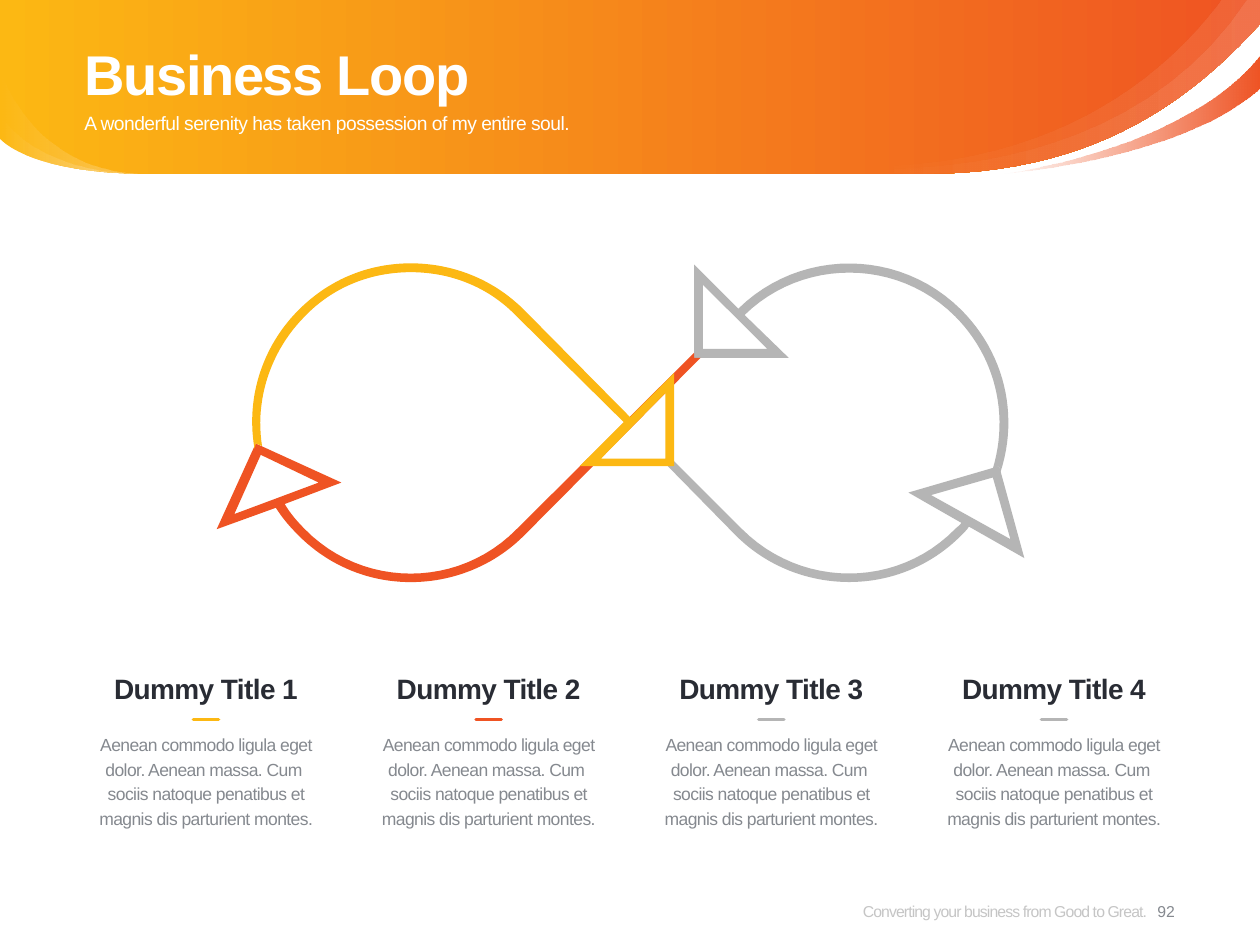
import lxml.etree
import pptx
import pptx.dml.color
import pptx.enum.shapes
import pptx.enum.text
import pptx.oxml.ns
import pptx.util

Inches, Pt = pptx.util.Inches, pptx.util.Pt
ALIGN = pptx.enum.text.PP_ALIGN
ANCHOR = pptx.enum.text.MSO_ANCHOR
qn = pptx.oxml.ns.qn

GOLD, RED, GREY, WHITE = "FCB813", "EF5323", "B5B5B5", "FFFFFF"
DARK, SLATE, PALE = "292C34", "85898F", "8C8C8C"

TITLE = "Business Loop"
LEAD = "A wonderful serenity has taken possession of my entire soul."
FOOTER = "Converting your business from Good to Great."
PAGE = "92"
BODY = [
    "Aenean commodo ligula eget dolor. Aenean massa. Cum ",
    "sociis natoque penatibus et magnis dis parturient montes.",
]
ITEMS = [
    ("Dummy Title 1", GOLD),
    ("Dummy Title 2", RED),
    ("Dummy Title 3", GREY),
    ("Dummy Title 4", GREY),
]

# A pair is a corner; six numbers are a cubic curve.
RIM = [(10, 0), (10, 0.19), (9.37, 0.89, 8.58, 1.38, 7.34, 1.38)]
TAIL = RIM + [(7.25, 1.38), (6.83, 1.38, 6.53, 1.31, 6.51, 1.31)]
EDGE = (0.21, 1.37, 0, 1.1, 0, 1.1)
BANNER = [
    (RIM + [(1.14, 1.38), EDGE, (0, 0)],
     [(0, GOLD, 100), (100, RED, 100)]),
    ([(7.94, 1.38), (7.94, 1.38, 9.4, 1.2, 10, 0.43), (10, 0.69),
      (10, 0.69, 9.54, 1.22, 7.94, 1.38)],
     [(0, RED, 0), (100, RED, 100)]),
    (TAIL + [(8.32, 1.43, 9.26, 0.58, 9.69, 0)],
     [(15, WHITE, 0), (100, WHITE, 10)]),
    ([(1.14, 1.38), EDGE, (0, 0.89), (0, 0.89, 0.21, 1.36, 1.14, 1.38)],
     [(0, WHITE, 0), (100, WHITE, 30)]),
    ([(1.14, 1.38), EDGE, (0, 0.53), (0, 0.53, 0.21, 1.35, 1.14, 1.38)],
     [(0, WHITE, 0), (100, WHITE, 30)]),
    (TAIL + [(6.58, 1.32, 8.82, 1.62, 9.89, 0)],
     [(15, WHITE, 0), (100, WHITE, 10)]),
]
LOOP = [
    (GREY, [
        [(7.93, 3.7), (7.21, 3.91), (7.63, 4.15),
         (7.62, 4.17, 7.6, 4.18, 7.58, 4.2),
         (7.12, 4.67, 6.36, 4.67, 5.89, 4.2),
         (5.35, 3.66), (5.35, 3.7), (5.3, 3.7), (5.84, 4.25),
         (6.09, 4.5, 6.42, 4.62, 6.74, 4.62),
         (7.06, 4.62, 7.38, 4.5, 7.63, 4.25),
         (7.65, 4.23, 7.68, 4.2, 7.69, 4.18), (8.13, 4.43)],
        [(7.39, 3.93), (7.88, 3.79), (8.02, 4.28)],
    ]),
    (GREY, [
        [(7.63, 2.46), (7.14, 1.97, 6.35, 1.97, 5.86, 2.45),
         (5.51, 2.1), (5.51, 2.84), (6.26, 2.84), (5.91, 2.5),
         (6.37, 2.05, 7.12, 2.05, 7.58, 2.51),
         (7.9, 2.83, 8.01, 3.29, 7.88, 3.72), (7.93, 3.7), (7.94, 3.75),
         (8.09, 3.29, 7.97, 2.8, 7.63, 2.46)],
        [(6.09, 2.77), (5.58, 2.77), (5.58, 2.26)],
    ]),
    (RED, [
        [(5.51, 2.84), (5.51, 2.8), (4.1, 4.2),
         (3.64, 4.67, 2.88, 4.67, 2.42, 4.2),
         (2.36, 4.14, 2.3, 4.07, 2.26, 4),
         (2.71, 3.83), (2.03, 3.52), (1.72, 4.2), (2.19, 4.03),
         (2.24, 4.11, 2.3, 4.18, 2.37, 4.25),
         (2.62, 4.5, 2.94, 4.62, 3.26, 4.62),
         (3.58, 4.62, 3.91, 4.5, 4.16, 4.25), (5.56, 2.84)],
        [(1.86, 4.08), (2.07, 3.61), (2.53, 3.83)],
    ]),
    (GOLD, [
        [(5, 3.31), (4.16, 2.46),
         (3.92, 2.22, 3.6, 2.09, 3.26, 2.09),
         (2.92, 2.09, 2.61, 2.22, 2.37, 2.46),
         (2.08, 2.75, 1.95, 3.16, 2.02, 3.56), (2.03, 3.52), (2.08, 3.54),
         (2.02, 3.17, 2.15, 2.78, 2.42, 2.51),
         (2.64, 2.28, 2.94, 2.16, 3.26, 2.16),
         (3.58, 2.16, 3.88, 2.28, 4.1, 2.51),
         (4.95, 3.35), (4.6, 3.7), (5.35, 3.7), (5.35, 2.96)],
        [(5.28, 3.64), (4.77, 3.64), (5.28, 3.12)],
    ]),
]


def tint(code):
    return pptx.dml.color.RGBColor.from_string(code)


def fade(node, share):
    lxml.etree.SubElement(node, qn("a:alpha")).set("val", str(share * 1000))


def trace(path, steps=24):
    dots = [path[0]]
    for part in path[1:]:
        if len(part) == 2:
            dots.append(part)
            continue
        ends = [dots[-1], part[:2], part[2:4], part[4:]]
        for step in range(1, steps + 1):
            t = step / steps
            mix = ((1 - t) ** 3, 3 * t * (1 - t) ** 2, 3 * t * t * (1 - t), t ** 3)
            dots.append(tuple(sum(m * e[k] for m, e in zip(mix, ends)) for k in (0, 1)))
    return [(Inches(x), Inches(y)) for x, y in dots]


def draw(slide, paths):
    first, *rest = [trace(path) for path in paths]
    pen = slide.shapes.build_freeform(*first[0], scale=1.0)
    pen.add_line_segments(first[1:], close=True)
    for dots in rest:
        pen.move_to(*dots[0])
        pen.add_line_segments(dots[1:], close=True)
    shape = pen.convert_to_shape()
    shape.shadow.inherit = False
    shape.line.fill.background()
    return shape


def blend(shape, stops):
    shape.fill.gradient()
    shape.fill.gradient_angle = 0
    for stop, (place, code, share) in zip(shape.fill.gradient_stops, stops):
        stop.position = place / 100
        stop.color.rgb = tint(code)
    for node, (place, code, share) in zip(shape._element.iter(qn("a:srgbClr")), stops):
        if share < 100:
            fade(node, share)


def write(slide, text, box, size, color, holder=None, bold=False, space=0,
          align=ALIGN.LEFT, anchor=ANCHOR.TOP, lead=None, share=100):
    place = [Inches(n) for n in box]
    shape = holder or slide.shapes.add_textbox(*place)
    shape.left, shape.top, shape.width, shape.height = place
    frame = shape.text_frame
    frame.word_wrap = True
    frame.auto_size = pptx.enum.text.MSO_AUTO_SIZE.NONE
    frame.vertical_anchor = anchor
    frame.margin_left = frame.margin_top = frame.margin_right = frame.margin_bottom = 0
    lines = [text] if isinstance(text, str) else text
    for i, line in enumerate(lines):
        para = frame.add_paragraph() if i else frame.paragraphs[0]
        para.alignment = align
        para.space_before = para.space_after = Pt(0)
        para.line_spacing = Pt(lead) if lead else 1.0
        run = para.add_run()
        run.text = line
        font = run.font
        font.name, font.size, font.bold = "Arial", Pt(size), bold
        font.color.rgb = tint(color)
        mark = run._r.get_or_add_rPr()
        mark.set("spc", str(round(space * 100)))
        mark.set("cap", "none")
        if share < 100:
            fade(next(mark.iter(qn("a:srgbClr"))), share)


def rule(slide, x, y, width, color):
    line = slide.shapes.add_connector(
        pptx.enum.shapes.MSO_CONNECTOR.STRAIGHT,
        Inches(x), Inches(y), Inches(x + width), Inches(y))
    line.line.color.rgb = tint(color)
    line.line.width = Pt(2)
    line.line._get_or_add_ln().set("cap", "rnd")
    lxml.etree.SubElement(line._element.spPr, qn("a:effectLst"))


def main():
    deck = pptx.Presentation()
    deck.slide_width, deck.slide_height = Inches(10), Inches(7.5)
    slide = deck.slides.add_slide(deck.slide_layouts[2])
    title, body = slide.shapes.title, slide.placeholders[1]
    for path, stops in BANNER:
        blend(draw(slide, [path]), stops)
    for holder in (title, body):
        slide.shapes._spTree.append(holder._element)

    write(slide, TITLE, (0.67, 0.23, 8.66, 0.65), 32, WHITE, holder=title,
          bold=True, space=-0.8, anchor=ANCHOR.MIDDLE, lead=42)
    write(slide, LEAD, (0.67, 0.88, 8.66, 0.39), 11, WHITE, holder=body, space=-0.3)
    write(slide, FOOTER, (6.04, 6.96, 3.06, 0.54), 9, PALE, space=-0.5,
          align=ALIGN.RIGHT, anchor=ANCHOR.MIDDLE, share=50)
    write(slide, PAGE, (9.02, 6.96, 0.47, 0.54), 9, SLATE,
          align=ALIGN.CENTER, anchor=ANCHOR.MIDDLE)

    left, width, dash = 0.67, 1.93, 0.2
    pitch = (10 - 2 * left - width) / (len(ITEMS) - 1)
    for i, (head, color) in enumerate(ITEMS):
        x = left + i * pitch
        write(slide, BODY, (x, 5.8, width, 0.79), 10, SLATE, space=-0.3,
              align=ALIGN.CENTER, lead=14)
        rule(slide, x + (width - dash) / 2, 5.71, dash, color)
        write(slide, head, (x, 5.33, width, 0.27), 16, DARK, bold=True,
              space=-0.3, align=ALIGN.CENTER)

    for color, paths in LOOP:
        shape = draw(slide, paths)
        shape.fill.solid()
        shape.fill.fore_color.rgb = tint(color)
    deck.save("out.pptx")


if __name__ == "__main__":
    main()
